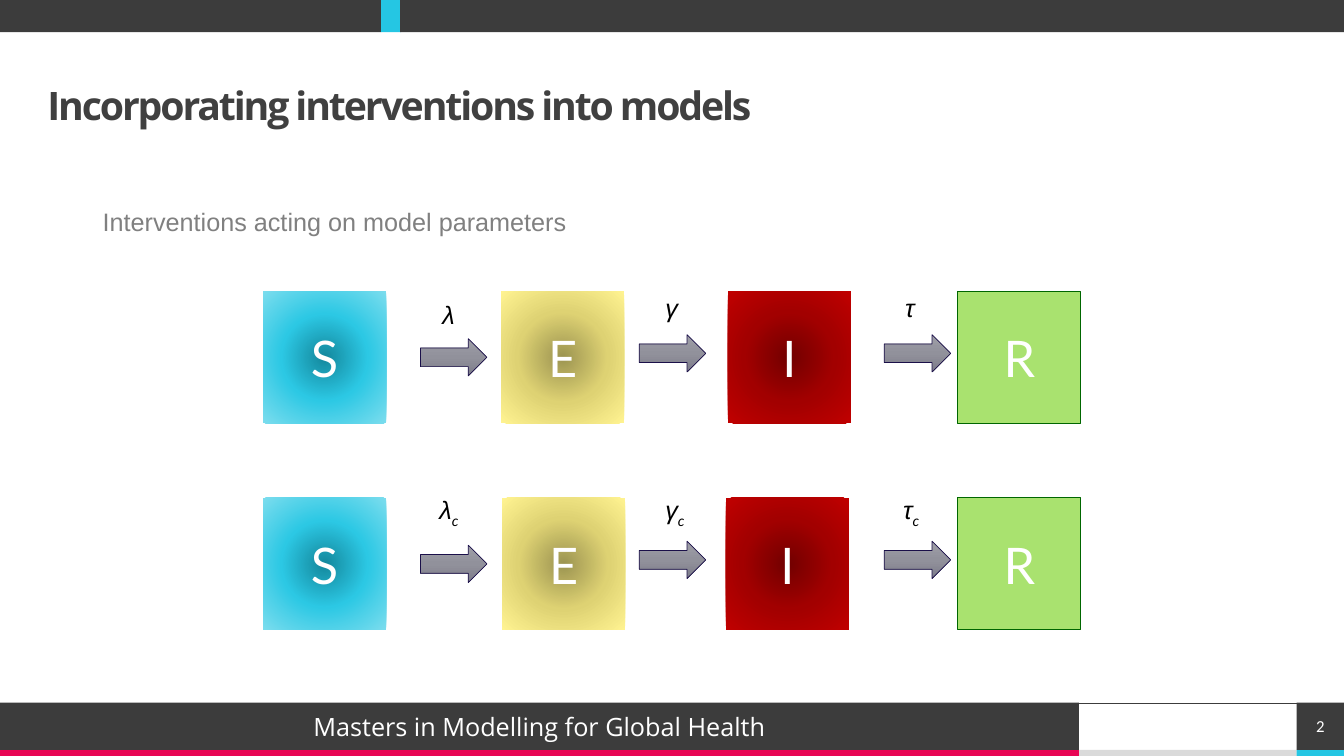
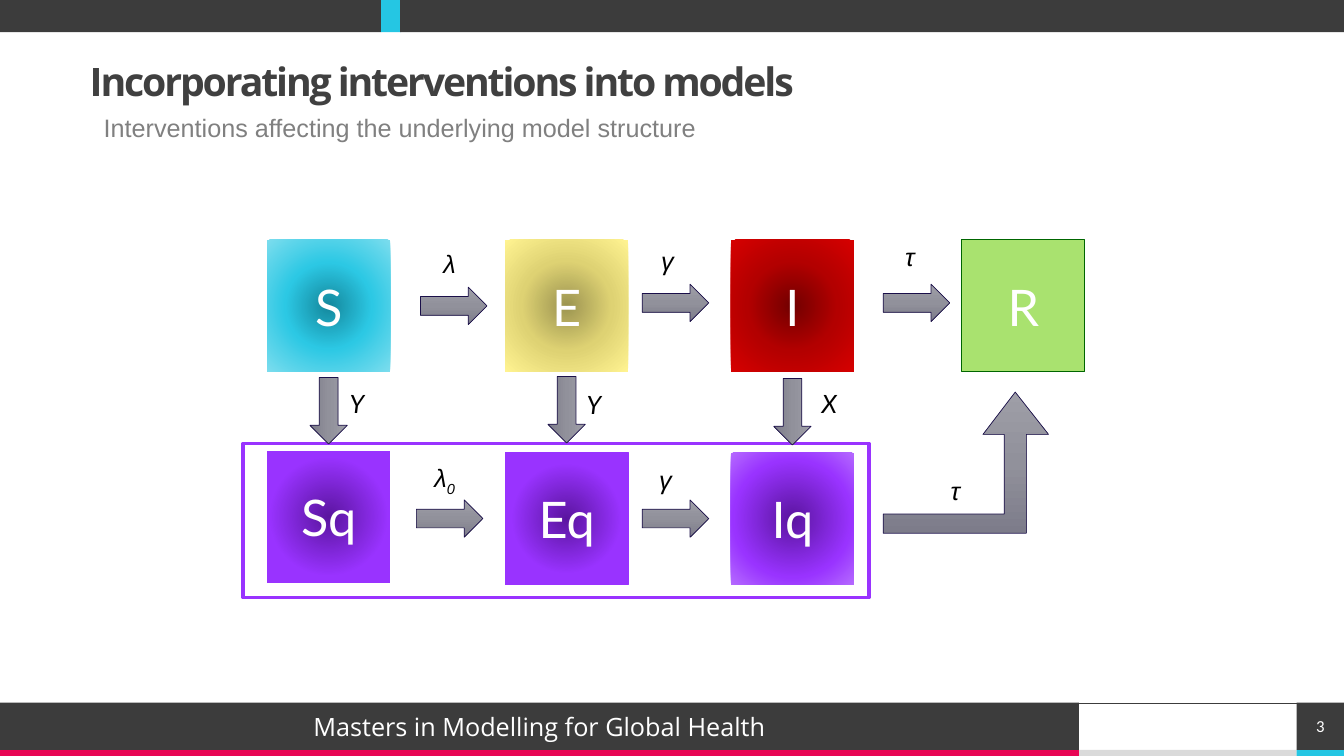
import lxml.etree
import pptx
import pptx.dml.color
import pptx.enum.shapes
import pptx.enum.text
import pptx.oxml
import pptx.oxml.ns
import pptx.util

Inches = pptx.util.Inches
Pt = pptx.util.Pt
RGBColor = pptx.dml.color.RGBColor
SHAPE = pptx.enum.shapes.MSO_SHAPE
ALIGN = pptx.enum.text.PP_ALIGN
ANCHOR = pptx.enum.text.MSO_ANCHOR

CHARCOAL = RGBColor(0x3C, 0x3C, 0x3C)
TITLE_GREY = RGBColor(0x40, 0x40, 0x40)
SUBTITLE_GREY = RGBColor(0x80, 0x80, 0x80)
PALE_GREY = RGBColor(0xDA, 0xDA, 0xDA)
PINK = RGBColor(0xE8, 0x05, 0x54)
CYAN = RGBColor(0x25, 0xC6, 0xE3)
WHITE = RGBColor(0xFF, 0xFF, 0xFF)
BLACK = RGBColor(0, 0, 0)
PURPLE = RGBColor(0x99, 0x33, 0xFF)
LIME = RGBColor(0xA9, 0xE2, 0x6F)
DARK_GREEN = RGBColor(0, 0x66, 0)
NAVY = RGBColor(0x1A, 0x0F, 0x49)

# Gradient stops as (percent, colour)
ARROW_GREY = [(0, RGBColor(0x9E, 0x9E, 0xA7)), (50, RGBColor(0x91, 0x91, 0x9B)),
              (100, RGBColor(0x7D, 0x7C, 0x8A))]
BLUE_GLOW = [(0, RGBColor(0x14, 0x88, 0x9D)), (48, RGBColor(0x2C, 0xC8, 0xE4)),
             (100, RGBColor(0x7C, 0xDD, 0xEE))]
YELLOW_GLOW = [(0, RGBColor(0x9C, 0x94, 0x51)), (50, RGBColor(0xDE, 0xD2, 0x73)),
               (100, RGBColor(0xFF, 0xF3, 0x91))]
RED_GLOW = [(0, RGBColor(0x72, 0, 0)), (50, RGBColor(0xA2, 0, 0)),
            (100, RGBColor(0xC0, 0, 0))]
BRIGHT_RED_GLOW = [(0, RGBColor(0x72, 0, 0)), (50, RGBColor(0xB3, 0, 0)),
                   (100, RGBColor(0xD6, 0, 0))]
INDIGO = RGBColor(0x5B, 0x15, 0xA0)
SQ_GLOW = [(0, INDIGO), (66, PURPLE), (100, PURPLE)]
EQ_GLOW = [(0, INDIGO), (61, PURPLE), (100, PURPLE)]
IQ_GLOW = [(0, INDIGO), (65, PURPLE), (100, RGBColor(0xB5, 0x6A, 0xFF))]

COURSE = "Masters in Modelling for Global Health"
TITLE = "Incorporating interventions into models"
BANDS = [  # left, top, width, height, colour
    (10.7, 7.44, 2.16, 0.06, PALE_GREY), (0, 7.44, 10.7, 0.06, PINK),
    (12.86, 7.44, 0.47, 0.06, CYAN), (0, 0, 3.78, 0.32, CHARCOAL),
    (3.78, 0, 0.2, 0.32, CYAN), (3.97, 0, 9.36, 0.32, CHARCOAL),
]
BOX_SIZE = (1.22, 1.31)
ARROW_SIZE = (0.66, 0.37)
LABEL_SIZE = (0.9, 0.4)

# compartments: name, left, top, fill, outline
# arrows: left, top, rotation; rates: text ("_" starts a subscript), left, top
SLIDES = [
    dict(
        number="2", title_at=(0.47, 0.6, 12.39, 0.93),
        subtitle="Interventions acting on model parameters",
        subtitle_at=(0.92, 2, 5.52, 0.4),
        compartments=[
            ("S", 2.61, 2.89, BLUE_GLOW, None), ("E", 4.97, 2.89, YELLOW_GLOW, None),
            ("I", 7.22, 2.89, RED_GLOW, None), ("R", 9.5, 2.89, LIME, DARK_GREEN),
            ("S", 2.61, 4.94, BLUE_GLOW, None), ("E", 4.98, 4.94, YELLOW_GLOW, None),
            ("I", 7.2, 4.94, RED_GLOW, None), ("R", 9.5, 4.94, LIME, DARK_GREEN)],
        arrows=[(4.17, 3.36, 0), (6.34, 3.32, 0), (8.77, 3.32, 0),
                (4.17, 5.41, 0), (6.34, 5.37, 0), (8.77, 5.37, 0)],
        rates=[("λ", 4.29, 2.92), ("γ", 6.5, 2.85), ("τ", 8.88, 2.85),
               ("λ_c", 4.26, 4.86), ("γ_c", 6.5, 4.86), ("τ_c", 8.86, 4.86)]),
    dict(
        number="3", title_at=(0.89, 0.11, 11.5, 1.45),
        subtitle="Interventions affecting the underlying model structure",
        subtitle_at=(0.93, 1.07, 8.19, 0.4),
        quarantine_at=(2.41, 4.4, 6.21, 1.53),
        compartments=[
            ("S", 2.65, 2.38, BLUE_GLOW, None), ("E", 5.01, 2.38, YELLOW_GLOW, None),
            ("I", 7.25, 2.38, BRIGHT_RED_GLOW, None), ("R", 9.54, 2.38, LIME, DARK_GREEN),
            ("Sq", 2.65, 4.47, SQ_GLOW, None), ("Eq", 5.01, 4.49, EQ_GLOW, PURPLE),
            ("Iq", 7.25, 4.49, IQ_GLOW, None)],
        arrows=[(4.17, 2.85, 0), (6.37, 2.82, 0), (8.76, 2.82, 0),
                (4.13, 4.96, 0), (6.37, 4.96, 0),
                (2.93, 3.89, 90), (5.29, 3.88, 90), (7.53, 3.9, 90)],
        rates=[("λ", 4.3, 2.41), ("γ", 6.46, 2.38), ("τ", 8.88, 2.34),
               ("Y", 3.37, 3.8), ("Y", 5.72, 3.81), ("X", 8.05, 3.8),
               ("λ_0", 4.21, 4.54), ("γ", 6.44, 4.56), ("τ", 9.33, 4.67)],
        recovery_path=[(8.76, 5.1), (9.96, 5.1), (9.96, 4.31), (9.75, 4.31),
                       (10.07, 3.89), (10.4, 4.31), (10.18, 4.31),
                       (10.18, 5.29), (8.76, 5.29)]),
]


def write(shape, text, size=18, font="Arial", color=BLACK, bold=False, italic=False,
          align=ALIGN.LEFT, anchor=ANCHOR.TOP, margin=None, line_spacing=None,
          tracking=None, subscript="", subscript_font=None):
    """Put one formatted line, with an optional subscript, into a shape."""
    frame = shape.text_frame
    frame.word_wrap = True
    frame.vertical_anchor = anchor
    if margin is not None:
        frame.margin_left = frame.margin_right = Inches(margin)
        frame.margin_top = frame.margin_bottom = Inches(margin)
    line = frame.paragraphs[0]
    line.alignment = align
    if line_spacing:
        line.line_spacing = line_spacing
    for words, face, offset in ((text, font, None), (subscript, subscript_font, -25000)):
        if not words:
            continue
        run = line.add_run()
        run.text = words
        run.font.name = face
        run.font.size = Pt(size)
        run.font.bold = bold
        run.font.italic = italic
        run.font.color.rgb = color
        properties = run._r.get_or_add_rPr()
        if tracking:
            properties.set("spc", str(int(tracking * 100)))
        if offset:
            properties.set("baseline", str(offset))


def text_box(slide, at, text, **style):
    """Add a text box at (left, top, width, height) in inches."""
    write(slide.shapes.add_textbox(*map(Inches, at)), text, **style)


def fill_gradient(shape, stops, radial):
    """Fill a shape with a gradient, from its centre or from top to bottom."""
    shape.fill.solid()
    solid = shape._element.spPr.find(pptx.oxml.ns.qn("a:solidFill"))
    marks = "".join(f'<a:gs pos="{percent * 1000}"><a:srgbClr val="{color}"/></a:gs>'
                    for percent, color in stops)
    course = ('<a:path path="circle"><a:fillToRect l="50000" t="50000" r="50000" '
              'b="50000"/></a:path>' if radial else '<a:lin ang="5400000" scaled="0"/>')
    gradient = pptx.oxml.parse_xml(
        f'<a:gradFill {pptx.oxml.ns.nsdecls("a")} rotWithShape="1">'
        f'<a:gsLst>{marks}</a:gsLst>{course}</a:gradFill>')
    solid.getparent().replace(solid, gradient)


def paint(shape, fill=None, line=None, width=0.75, radial=False):
    """Set the fill (colour, stops or none) and the outline of a shape."""
    shape.shadow.inherit = False
    if fill is None:
        shape.fill.background()
    elif isinstance(fill, list):
        fill_gradient(shape, fill, radial)
    else:
        shape.fill.solid()
        shape.fill.fore_color.rgb = fill
    if line is None:
        shape.line.fill.background()
    else:
        shape.line.color.rgb = line
        shape.line.width = Pt(width)
    return shape


def add_shape(slide, at, kind=SHAPE.RECTANGLE, **look):
    """Add a painted preset shape at (left, top, width, height) in inches."""
    return paint(slide.shapes.add_shape(kind, *map(Inches, at)), **look)


def add_frame(slide, number):
    """Draw the bands, footer and page number that all slides share."""
    for *at, color in BANDS:
        add_shape(slide, at, fill=color)
    footer = add_shape(slide, (0, 6.97, 10.7, 0.47), fill=CHARCOAL)
    write(footer, COURSE, font="Open Sans", color=WHITE,
          align=ALIGN.CENTER, anchor=ANCHOR.MIDDLE)
    rule = slide.shapes.add_connector(
        pptx.enum.shapes.MSO_CONNECTOR.STRAIGHT,
        Inches(13.33), Inches(6.98), Inches(0), Inches(6.98))
    rule.line.color.rgb = CHARCOAL
    rule.line.width = Pt(0.5)
    lxml.etree.SubElement(rule._element.spPr, pptx.oxml.ns.qn("a:effectLst"))
    page = add_shape(slide, (12.86, 6.97, 0.47, 0.47), fill=CHARCOAL)
    write(page, number, size=12, font="Calibri", color=WHITE, margin=0,
          align=ALIGN.CENTER, anchor=ANCHOR.MIDDLE)


def add_recovery_arrow(slide, points):
    """Draw the bent arrow through its corner points."""
    start, *rest = [(Inches(x), Inches(y)) for x, y in points]
    outline = slide.shapes.build_freeform(*start)
    outline.add_line_segments(rest, close=True)
    paint(outline.convert_to_shape(), fill=ARROW_GREY, line=NAVY, width=0.5)


def add_model(slide, content):
    """Draw the compartments, the flows between them and their rates."""
    if "quarantine_at" in content:
        add_shape(slide, content["quarantine_at"], line=PURPLE, width=2.25)
    for name, left, top, fill, outline in content["compartments"]:
        compartment = add_shape(slide, (left, top, *BOX_SIZE), fill=fill,
                                line=outline, radial=True)
        write(compartment, name, size=36, font="Lato", color=WHITE,
              align=ALIGN.CENTER, anchor=ANCHOR.MIDDLE)
    for left, top, rotation in content["arrows"]:
        arrow = add_shape(slide, (left, top, *ARROW_SIZE), SHAPE.RIGHT_ARROW,
                          fill=ARROW_GREY, line=NAVY, width=0.5)
        arrow.rotation = rotation
    if "recovery_path" in content:
        add_recovery_arrow(slide, content["recovery_path"])
    for rate, left, top in content["rates"]:
        symbol, _, index = rate.partition("_")
        text_box(slide, (left, top, *LABEL_SIZE), symbol, italic=True,
                 font="Lato" if symbol in "XY" else "Arial", subscript=index,
                 subscript_font="Lato" if index == "c" else "Arial")


deck = pptx.Presentation()
deck.slide_width, deck.slide_height = Inches(13.33), Inches(7.5)
for content in SLIDES:
    slide = deck.slides.add_slide(deck.slide_layouts[6])
    add_frame(slide, content["number"])
    text_box(slide, content["title_at"], TITLE, size=28, font="Open Sans",
             color=TITLE_GREY, bold=True, anchor=ANCHOR.MIDDLE, margin=0,
             line_spacing=0.9, tracking=-1.5)
    text_box(slide, content["subtitle_at"], content["subtitle"], color=SUBTITLE_GREY)
    add_model(slide, content)
deck.save("out.pptx")
